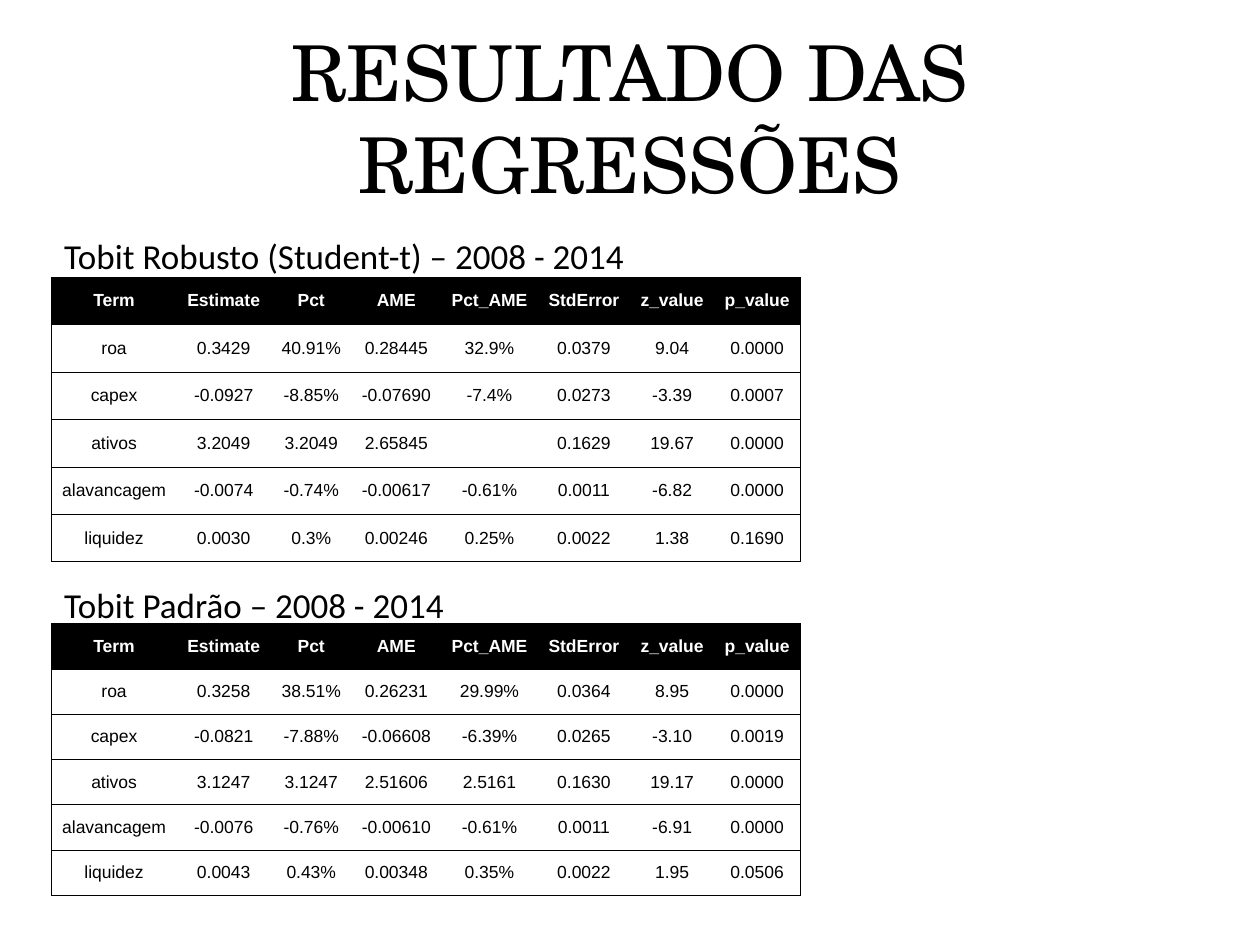
from lxml.etree import SubElement
from pptx import Presentation
from pptx.dml.color import RGBColor
from pptx.enum.text import MSO_ANCHOR as Anchor, PP_ALIGN as Align
from pptx.oxml.ns import qn
from pptx.util import Pt

COLORS = {"black": "000000", "white": "FFFFFF"}
LEFT = 29.5
COLUMN_WIDTHS = [71.3, 54, 46.1, 51.1, 55.4, 52.6, 48.2, 49]
HEADER = ["Term", "Estimate", "Pct", "AME", "Pct_AME", "StdError", "z_value", "p_value"]
ROBUST_ROWS = [
    ["roa", "0.3429", "40.91%", "0.28445", "32.9%", "0.0379", "9.04", "0.0000"],
    ["capex", "-0.0927", "-8.85%", "-0.07690", "-7.4%", "0.0273", "-3.39", "0.0007"],
    ["ativos", "3.2049", "3.2049", "2.65845", "", "0.1629", "19.67", "0.0000"],
    ["alavancagem", "-0.0074", "-0.74%", "-0.00617", "-0.61%", "0.0011", "-6.82", "0.0000"],
    ["liquidez", "0.0030", "0.3%", "0.00246", "0.25%", "0.0022", "1.38", "0.1690"],
]
STANDARD_ROWS = [
    ["roa", "0.3258", "38.51%", "0.26231", "29.99%", "0.0364", "8.95", "0.0000"],
    ["capex", "-0.0821", "-7.88%", "-0.06608", "-6.39%", "0.0265", "-3.10", "0.0019"],
    ["ativos", "3.1247", "3.1247", "2.51606", "2.5161", "0.1630", "19.17", "0.0000"],
    ["alavancagem", "-0.0076", "-0.76%", "-0.00610", "-0.61%", "0.0011", "-6.91", "0.0000"],
    ["liquidez", "0.0043", "0.43%", "0.00348", "0.35%", "0.0022", "1.95", "0.0506"],
]


def set_font(paragraph, name, size, color="black", bold=False):
    font = paragraph.font
    font.name = name
    font.size = Pt(size)
    font.bold = bold
    font.color.rgb = RGBColor.from_string(COLORS[color])


def add_text(slide, text, box, font_name, size, align=Align.LEFT, anchor=Anchor.TOP):
    frame = slide.shapes.add_textbox(*map(Pt, box)).text_frame
    frame.word_wrap = True
    frame.vertical_anchor = anchor
    paragraph = frame.paragraphs[0]
    paragraph.text = text
    paragraph.alignment = align
    set_font(paragraph, font_name, size)


def set_borders(cell, visible_sides):
    properties = cell._tc.get_or_add_tcPr()
    for side in "LRTB":
        line = SubElement(properties, qn(f"a:ln{side}"), w=str(Pt(0.5)))
        if side in visible_sides:
            fill = SubElement(line, qn("a:solidFill"))
            SubElement(fill, qn("a:srgbClr"), val=COLORS["black"])
        else:
            SubElement(line, qn("a:noFill"))


def style_cell(cell, text, is_header, visible_sides):
    cell.margin_left = cell.margin_right = cell.margin_top = cell.margin_bottom = 0
    cell.vertical_anchor = Anchor.MIDDLE
    set_borders(cell, visible_sides)
    if is_header:
        cell.fill.solid()
        cell.fill.fore_color.rgb = RGBColor.from_string(COLORS["black"])
    else:
        cell.fill.background()
    paragraph = cell.text_frame.paragraphs[0]
    paragraph.text = text
    paragraph.alignment = Align.CENTER
    properties = paragraph._p.get_or_add_pPr()
    for margin in ("marL", "marR"):
        properties.set(margin, str(Pt(5)))
    set_font(paragraph, "Arial", 10, "white" if is_header else "black", is_header)


def add_regression_table(slide, rows, top, row_height):
    rows = [HEADER] + rows
    last_column = len(HEADER) - 1
    table = slide.shapes.add_table(
        len(rows), len(HEADER), Pt(LEFT), Pt(top),
        Pt(sum(COLUMN_WIDTHS)), Pt(row_height * len(rows)),
    ).table
    table.horz_banding = False
    for column, width in zip(table.columns, COLUMN_WIDTHS):
        column.width = Pt(width)
    for row_index, values in enumerate(rows):
        table.rows[row_index].height = Pt(row_height)
        for column_index, text in enumerate(values):
            sides = "TB" + {0: "L", last_column: "R"}.get(column_index, "")
            style_cell(table.cell(row_index, column_index), text, row_index == 0, sides)


def main():
    presentation = Presentation()
    presentation.slide_width = Pt(720)
    presentation.slide_height = Pt(540)
    slide = presentation.slides.add_slide(presentation.slide_layouts[6])
    add_text(slide, "RESULTADO DAS REGRESSÕES", (36, 21.6, 648, 90),
             "TeX Gyre Schola", 44, Align.CENTER, Anchor.MIDDLE)
    sections = [
        ("Tobit Robusto (Student-t) – 2008 - 2014", 130.3, ROBUST_ROWS, 158.4, 27.1),
        ("Tobit Padrão – 2008 - 2014", 329.8, STANDARD_ROWS, 356.4, 25.9),
    ]
    for heading, heading_top, rows, table_top, row_height in sections:
        add_text(slide, heading, (LEFT, heading_top, 686, 53.3), "Calibri", 20)
        add_regression_table(slide, rows, table_top, row_height)
    presentation.save("out.pptx")


if __name__ == "__main__":
    main()
